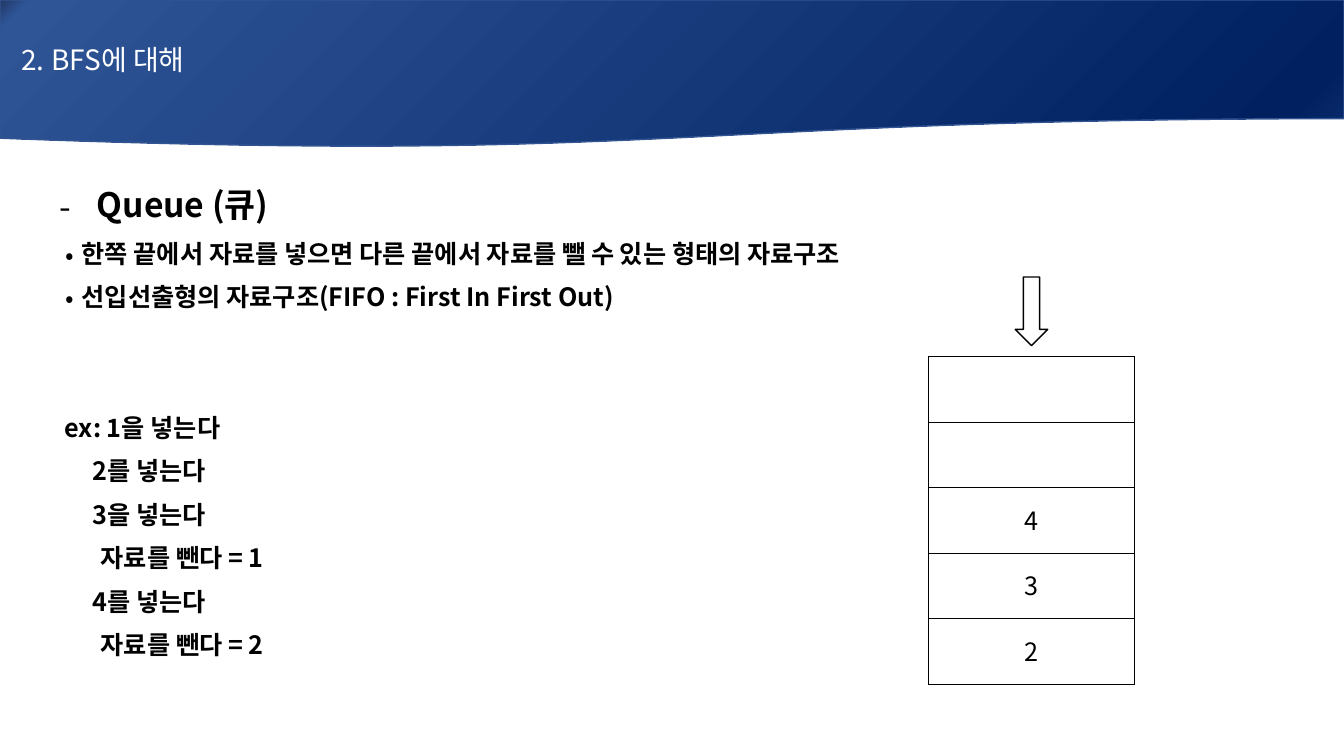
from lxml.etree import SubElement
from pptx import Presentation
from pptx.dml.color import RGBColor
from pptx.enum.shapes import MSO_SHAPE
from pptx.enum.text import MSO_ANCHOR, MSO_AUTO_SIZE, PP_ALIGN
from pptx.oxml.ns import qn
from pptx.util import Cm, Pt

FONT = "Noto Sans CJK KR"
COLORS = {"white": "FFFFFF", "black": "000000", "header_line": "325491"}
HEADER_STOPS = [(0, "203864"), (2, "2F5597"), (94, "002060"), (100, "0D2E6F")]

TITLE = "2. BFS에 대해"
# text, size in points, bullet, left margin in cm, hanging in cm, space before in points
BODY = [
    ("Queue (큐)", 24, "-", 0.95, 0.95, 0),
    ("한쪽 끝에서 자료를 넣으면 다른 끝에서 자료를 뺄 수 있는 형태의 자료구조", 18, "•", 0.57, 0.41, 0),
    ("선입선출형의 자료구조(FIFO : First In First Out)", 18, "•", 0.57, 0.41, 0),
    ("ex: 1을 넣는다", 18, None, 0.14, 0, 62),
    ("2를 넣는다", 18, None, 0.85, 0, 0),
    ("3을 넣는다", 18, None, 0.85, 0, 0),
    ("자료를 뺀다 = 1", 18, None, 1.05, 0, 0),
    ("4를 넣는다", 18, None, 0.85, 0, 0),
    ("자료를 뺀다 = 2", 18, None, 1.05, 0, 0),
]
QUEUE = ["", "", "4", "3", "2"]

SLIDE_WIDTH, SLIDE_HEIGHT = 33.87, 19.05
QUEUE_LEFT, QUEUE_TOP, QUEUE_WIDTH, ROW_HEIGHT = 23.39, 8.99, 5.21, 1.65
NUMBER_WIDTH, NUMBER_HEIGHT = 1.24, 1.02
ARROW_WIDTH, ARROW_HEIGHT, ARROW_GAP = 0.82, 1.73, 0.28


def rgb(name):
    return RGBColor.from_string(COLORS[name])


def add_run(paragraph, text, size, color="black", bold=False):
    run = paragraph.add_run()
    run.text = text
    run.font.size = Pt(size)
    run.font.bold = bold
    run.font.color.rgb = rgb(color)
    run.font.name = FONT
    SubElement(run.font._element, qn("a:ea"), typeface=FONT)


def add_header(slide):
    header = slide.shapes.add_shape(
        MSO_SHAPE.FLOWCHART_DOCUMENT, 0, 0, Cm(SLIDE_WIDTH), Cm(3.73))
    header.shadow.inherit = False
    header.fill.gradient()
    header.fill.gradient_angle = 315
    stop_list = header._element.spPr.find(".//" + qn("a:gsLst"))
    for stop in list(stop_list):
        stop_list.remove(stop)
    for percent, color in HEADER_STOPS:
        stop = SubElement(stop_list, qn("a:gs"), pos=str(percent * 1000))
        SubElement(stop, qn("a:srgbClr"), val=color)
    header.line.color.rgb = rgb("header_line")
    header.line.width = Pt(1)
    frame = header.text_frame
    frame.vertical_anchor = MSO_ANCHOR.MIDDLE
    frame.margin_left = Cm(0.54)
    frame.paragraphs[0].alignment = PP_ALIGN.LEFT
    add_run(frame.paragraphs[0], TITLE, 20, "white")


def add_body(slide):
    frame = slide.shapes.add_textbox(Cm(1.24), Cm(4.45), Cm(32.61), Cm(12.37)).text_frame
    frame.word_wrap = True
    frame.auto_size = MSO_AUTO_SIZE.SHAPE_TO_FIT_TEXT
    for index, (text, size, bullet, margin, hanging, before) in enumerate(BODY):
        paragraph = frame.add_paragraph() if index else frame.paragraphs[0]
        properties = paragraph._p.get_or_add_pPr()
        properties.set("marL", str(Cm(margin)))
        properties.set("indent", str(-Cm(hanging)))
        if bullet:
            SubElement(properties, qn("a:buFont"), typeface=FONT)
            SubElement(properties, qn("a:buChar"), char=bullet)
        paragraph.alignment = PP_ALIGN.JUSTIFY
        paragraph.line_spacing = 1.07
        if before:
            paragraph.space_before = Pt(before)
        paragraph.space_after = Pt(8)
        add_run(paragraph, text, size, bold=True)


def add_borders(cell):
    properties = cell._tc.get_or_add_tcPr()
    for side in ("lnL", "lnR", "lnT", "lnB"):
        line = SubElement(properties, qn("a:" + side), w=str(Pt(1)))
        fill = SubElement(line, qn("a:solidFill"))
        SubElement(fill, qn("a:srgbClr"), val=COLORS["black"])


def add_queue(slide):
    """Draw the queue cells, the arrow into them and the numbers they hold."""
    center = QUEUE_LEFT + QUEUE_WIDTH / 2
    table = slide.shapes.add_table(
        len(QUEUE), 1, Cm(QUEUE_LEFT), Cm(QUEUE_TOP),
        Cm(QUEUE_WIDTH), Cm(ROW_HEIGHT * len(QUEUE))).table
    table.first_row = False
    table.horz_banding = False
    for cell in table.iter_cells():
        add_borders(cell)
        cell.fill.solid()
        cell.fill.fore_color.rgb = rgb("white")

    arrow = slide.shapes.add_shape(
        MSO_SHAPE.DOWN_ARROW, Cm(center - ARROW_WIDTH / 2),
        Cm(QUEUE_TOP - ARROW_GAP - ARROW_HEIGHT), Cm(ARROW_WIDTH), Cm(ARROW_HEIGHT))
    arrow.shadow.inherit = False
    arrow.fill.solid()
    arrow.fill.fore_color.rgb = rgb("white")
    arrow.line.color.rgb = rgb("black")
    arrow.line.width = Pt(1)

    for row, number in enumerate(QUEUE):
        if number:
            middle = QUEUE_TOP + ROW_HEIGHT * (row + 0.5)
            frame = slide.shapes.add_textbox(
                Cm(center - NUMBER_WIDTH / 2), Cm(middle - NUMBER_HEIGHT / 2),
                Cm(NUMBER_WIDTH), Cm(NUMBER_HEIGHT)).text_frame
            frame.word_wrap = True
            frame.auto_size = MSO_AUTO_SIZE.SHAPE_TO_FIT_TEXT
            frame.paragraphs[0].alignment = PP_ALIGN.CENTER
            add_run(frame.paragraphs[0], number, 18)


def main():
    presentation = Presentation()
    presentation.slide_width = Cm(SLIDE_WIDTH)
    presentation.slide_height = Cm(SLIDE_HEIGHT)
    slide = presentation.slides.add_slide(presentation.slide_layouts[6])
    add_header(slide)
    add_body(slide)
    add_queue(slide)
    presentation.save("out.pptx")


if __name__ == "__main__":
    main()
